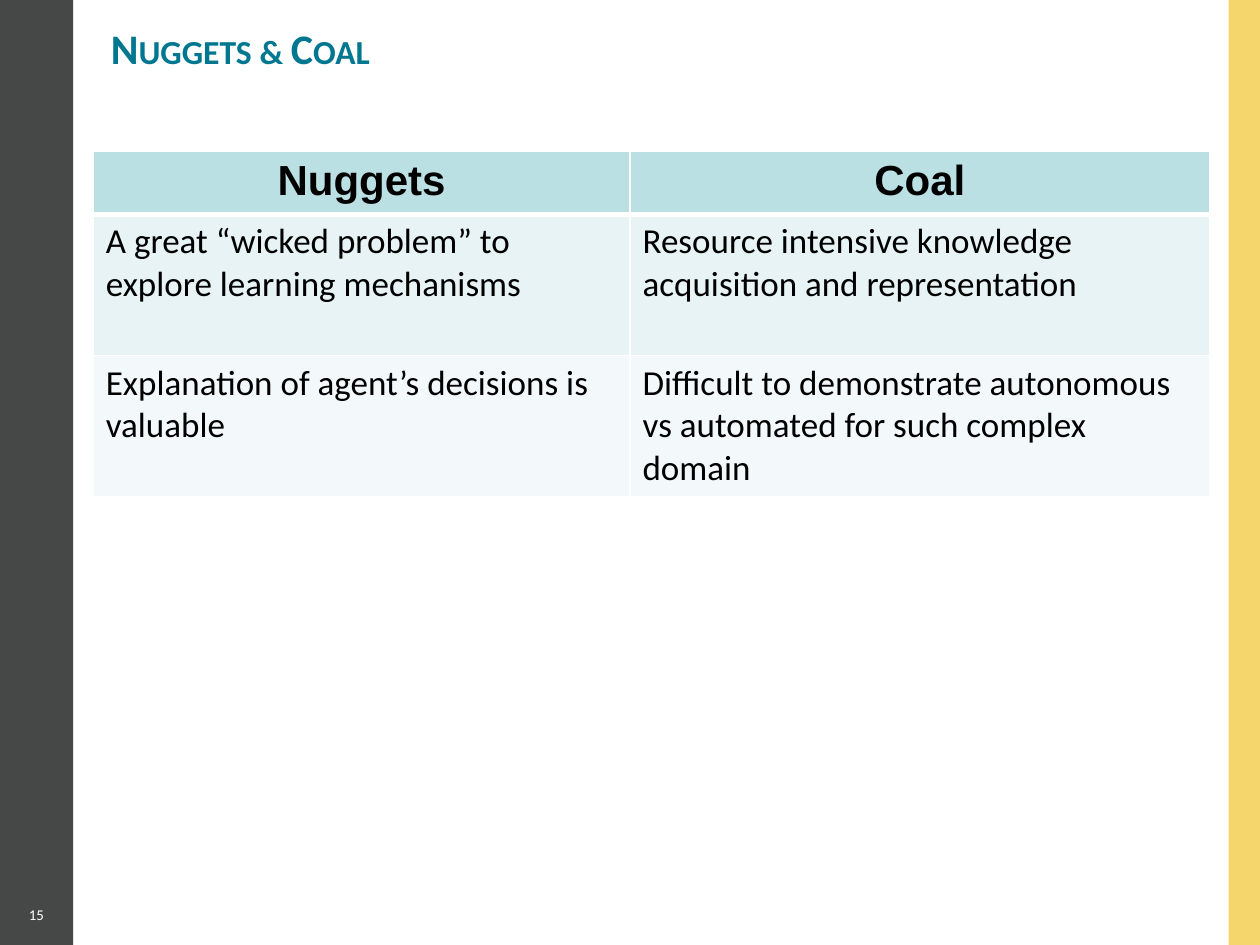
from dataclasses import dataclass

from lxml.etree import SubElement
from pptx import Presentation
from pptx.dml.color import RGBColor
from pptx.enum.shapes import MSO_SHAPE as Shape
from pptx.enum.text import MSO_ANCHOR as Anchor, PP_ALIGN as Align
from pptx.oxml.ns import qn
from pptx.slide import Slide
from pptx.util import Inches, Pt

COLORS = {
    "sidebar": "464847",
    "accent": "F4D66C",
    "title": "007790",
    "text": "000000",
    "white": "FFFFFF",
    "header": "BBE0E3",
    "odd": "E7F3F4",
    "even": "F3F9FA",
}


def color(name):
    return RGBColor.from_string(COLORS[name])


@dataclass
class Deck:
    slide: Slide
    font: str = "Calibri"

    def style(self, paragraph, size, fill, bold=False, font=None, align=Align.LEFT):
        paragraph.alignment = align
        paragraph.font.name = font or self.font
        paragraph.font.size = Pt(size)
        paragraph.font.bold = bold
        paragraph.font.color.rgb = color(fill)

    def title(self, text, left, top, width, height):
        heading = self.slide.shapes.title
        heading.left, heading.top = Inches(left), Inches(top)
        heading.width, heading.height = Inches(width), Inches(height)
        frame = heading.text_frame
        frame.text = text
        frame.vertical_anchor = Anchor.TOP
        self.style(frame.paragraphs[0], 24, "title", bold=True)
        frame.paragraphs[0].runs[0]._r.get_or_add_rPr().set("cap", "small")

    def band(self, left, width, fill):
        stripe = self.slide.shapes.add_shape(
            Shape.RECTANGLE, Inches(left), 0, Inches(width), Inches(7.5))
        stripe.shadow.inherit = False
        stripe.fill.solid()
        stripe.fill.fore_color.rgb = color(fill)
        stripe.line.fill.background()

    def page_number(self, text, left, top, width, height):
        frame = self.slide.shapes.add_textbox(
            Inches(left), Inches(top), Inches(width), Inches(height)).text_frame
        frame.word_wrap = True
        frame.vertical_anchor = Anchor.MIDDLE
        frame.text = text
        self.style(frame.paragraphs[0], 8.5, "white", align=Align.CENTER)

    def border(self, cell, side, width):
        edge = SubElement(cell._tc.get_or_add_tcPr(), qn(f"a:ln{side}"), w=str(Pt(width)))
        fill = SubElement(edge, qn("a:solidFill"))
        SubElement(fill, qn("a:srgbClr"), val=COLORS["white"])

    def cell(self, cell, text, row):
        header_edges = {0: "B", 1: "T"}
        for side in "LRTB":
            self.border(cell, side, 3 if header_edges.get(row) == side else 1)
        cell.fill.solid()
        cell.fill.fore_color.rgb = color(("header", "odd", "even")[row])
        cell.text = text
        paragraph = cell.text_frame.paragraphs[0]
        if row == 0:
            self.style(paragraph, 24, "text", bold=True, font="Arial", align=Align.CENTER)
        else:
            self.style(paragraph, 20, "text")

    def table(self, rows, left, top, widths, heights):
        grid = self.slide.shapes.add_table(
            len(rows), len(widths), Inches(left), Inches(top),
            Inches(sum(widths)), Inches(sum(heights))).table
        for column, width in zip(grid.columns, widths):
            column.width = Inches(width)
        for r, (texts, height) in enumerate(zip(rows, heights)):
            grid.rows[r].height = Inches(height)
            for c, text in enumerate(texts):
                self.cell(grid.cell(r, c), text, r)


def main():
    presentation = Presentation()
    presentation.slide_width, presentation.slide_height = Inches(10), Inches(7.5)
    deck = Deck(presentation.slides.add_slide(presentation.slide_layouts[5]))

    deck.band(0, 0.58, "sidebar")
    deck.band(9.75, 0.25, "accent")
    deck.title("Nuggets & Coal", 0.78, 0.13, 8.86, 0.8)
    deck.page_number("15", 0, 7.01, 0.58, 0.5)
    deck.table(
        [
            ("Nuggets", "Coal"),
            ("A great “wicked problem” to explore learning mechanisms",
             "Resource intensive knowledge acquisition and representation"),
            ("Explanation of agent’s decisions is valuable",
             "Difficult to demonstrate autonomous vs automated for such complex domain"),
        ],
        0.74, 1.2, widths=(4.26, 4.6), heights=(0.47, 1.12, 1.12))

    presentation.save("out.pptx")


if __name__ == "__main__":
    main()
